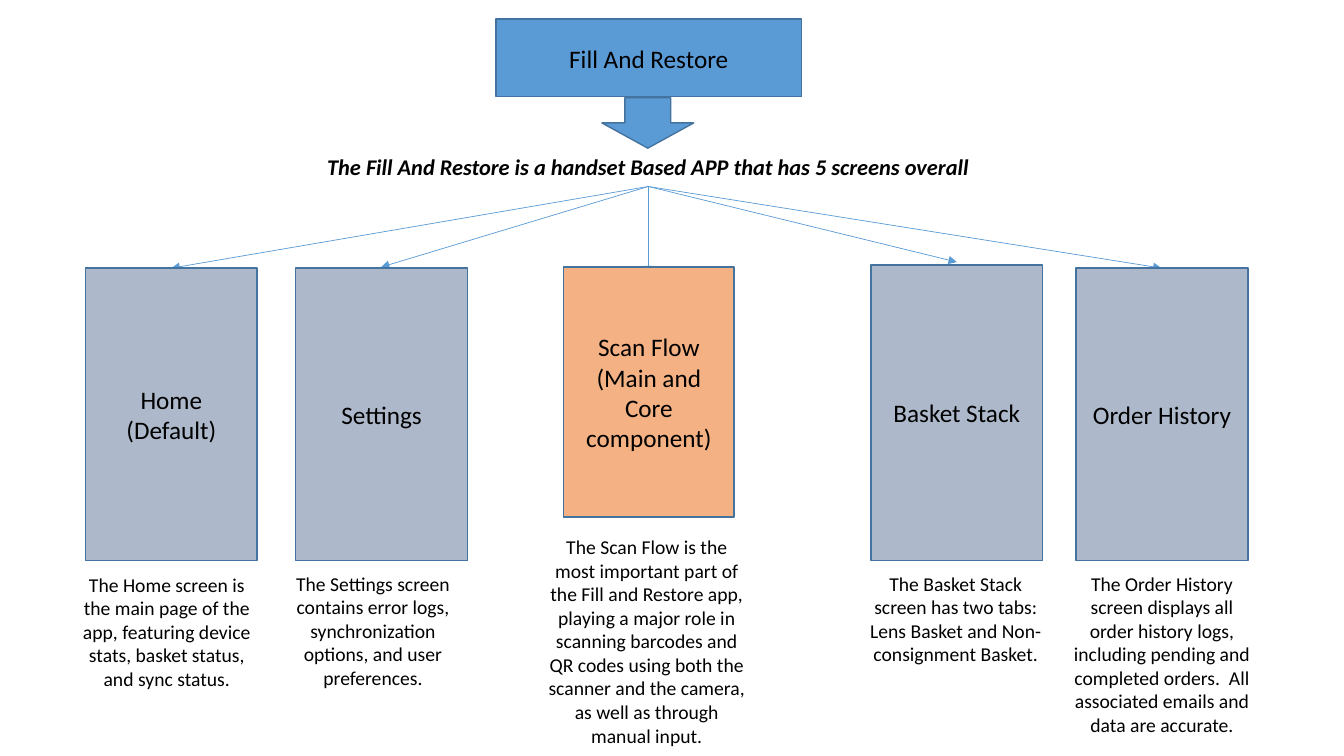
import dataclasses

import pptx
import pptx.dml.color
import pptx.enum.shapes
import pptx.enum.text
import pptx.oxml
import pptx.oxml.ns
import pptx.util

PX = 9144
SHAPES = pptx.enum.shapes.MSO_SHAPE
ANCHOR = pptx.enum.text.MSO_ANCHOR
FIT = pptx.enum.text.MSO_AUTO_SIZE


@dataclasses.dataclass(frozen=True)
class Theme:
    """Colours, type sizes and line widths of the slide."""
    font: str = "Calibri"
    text: str = "000000"
    blue: str = "5B9BD5"
    border: str = "43739E"
    grey: str = "ADB9CA"
    orange: str = "F4B183"
    label_size: int = 18
    tagline_size: int = 16
    caption_size: int = 14
    border_width: float = 1
    arrow_width: float = 0.5


@dataclasses.dataclass(frozen=True)
class Screen:
    """One app screen: its box, the arrow tip height and its caption."""
    label: str
    box: tuple
    tip: int
    caption: str
    caption_box: tuple
    fill: str


THEME = Theme()
TITLE_BOX = (492, 19, 303, 77)
ARROW_BOX = (597, 97, 91, 50)
TAGLINE_BOX = (271, 147, 744, 37)
FAN_ORIGIN = (643, 185)
SCREENS = [
    Screen("Home\n(Default)", (85, 266, 170, 290), 266,
           "The Home screen is the main page of the app, featuring device stats, "
           "basket status, and sync status.",
           (64, 563, 203, 128), THEME.grey),
    Screen("Settings", (293, 266, 171, 290), 265,
           "The Settings screen contains error logs, synchronization options, "
           "and user preferences.",
           (277, 562, 186, 128), THEME.grey),
    Screen("Scan Flow\n(Main and Core component)", (559, 265, 169, 248), 272,
           "The Scan Flow is the most important part of the Fill and Restore app, "
           "playing a major role in scanning barcodes and QR codes using both the "
           "scanner and the camera, as well as through manual input.",
           (531, 526, 221, 222), THEME.orange),
    Screen("Basket Stack", (864, 263, 170, 293), 260,
           "The Basket Stack screen has two tabs: Lens Basket and "
           "Non-consignment Basket.",
           (845, 562, 206, 104), THEME.grey),
    Screen("Order History", (1067, 266, 171, 290), 266,
           "The Order History screen displays all order history logs, including "
           "pending and completed orders.  All associated emails and data are accurate.",
           (1052, 562, 201, 177), THEME.grey),
]


def scaled(lengths):
    """Turn px lengths into EMU."""
    return [pptx.util.Emu(length * PX) for length in lengths]


def colour(value):
    """Return an RGB colour from its hex value."""
    return pptx.dml.color.RGBColor.from_string(value)


def apply_format(target, values):
    """Set each attribute of target from a dict."""
    for name, value in values.items():
        setattr(target, name, value)


def write_text(shape, text, size, anchor=ANCHOR.MIDDLE, fit=FIT.NONE, **emphasis):
    """Write centred paragraphs, one for each line of text."""
    shape.text_frame.text = text
    apply_format(shape.text_frame, {
        "word_wrap": True, "auto_size": fit, "vertical_anchor": anchor})
    for paragraph in shape.text_frame.paragraphs:
        apply_format(paragraph, {
            "alignment": pptx.enum.text.PP_ALIGN.CENTER, "line_spacing": 1.0,
            "space_before": pptx.util.Pt(0)})
        for run in paragraph.runs:
            apply_format(run.font, {
                "name": THEME.font, "size": pptx.util.Pt(size), **emphasis})
            run.font.color.rgb = colour(THEME.text)


def paint(shape, fill):
    """Give a shape its fill and the common border."""
    shape.fill.solid()
    shape.fill.fore_color.rgb = colour(fill)
    shape.line.color.rgb = colour(THEME.border)
    shape.line.width = pptx.util.Pt(THEME.border_width)
    shape.shadow.inherit = False


def add_block(slide, preset, box, fill):
    """Add a filled preset shape in the box."""
    shape = slide.shapes.add_shape(preset, *scaled(box))
    paint(shape, fill)
    return shape


def add_note(slide, box, text, size, **emphasis):
    """Add a text box that grows with its text."""
    note = slide.shapes.add_textbox(*scaled(box))
    write_text(note, text, size, ANCHOR.TOP, FIT.SHAPE_TO_FIT_TEXT, **emphasis)


def add_arrow(slide, start, end):
    """Add a thin connector with a triangle at its end."""
    connector = slide.shapes.add_connector(
        pptx.enum.shapes.MSO_CONNECTOR.STRAIGHT, *scaled(start + end))
    connector.line.color.rgb = colour(THEME.blue)
    connector.line.width = pptx.util.Pt(THEME.arrow_width)
    namespace = pptx.oxml.ns.nsdecls("a")
    connector.get_or_add_ln().append(
        pptx.oxml.parse_xml(f'<a:tailEnd {namespace} type="triangle"/>'))
    connector.element.spPr.append(
        pptx.oxml.parse_xml(f"<a:effectLst {namespace}/>"))


def add_header(slide, box):
    """Format the title as the root box and point it at the tagline."""
    title = slide.shapes.title
    apply_format(title, dict(zip(("left", "top", "width", "height"), scaled(box))))
    paint(title, THEME.blue)
    write_text(title, "Fill And Restore", THEME.label_size)
    add_block(slide, SHAPES.DOWN_ARROW, ARROW_BOX, THEME.blue)
    add_note(slide, TAGLINE_BOX,
             "The Fill And Restore is a handset Based APP that has 5 screens overall",
             THEME.tagline_size, bold=True, italic=True)


def add_screen(slide, screen):
    """Add the arrow, box and caption of one app screen."""
    left, _, width, _ = screen.box
    add_arrow(slide, FAN_ORIGIN, (left + width // 2, screen.tip))
    block = add_block(slide, SHAPES.RECTANGLE, screen.box, screen.fill)
    write_text(block, screen.label, THEME.label_size)
    add_note(slide, screen.caption_box, screen.caption, THEME.caption_size)


def main():
    """Build and save the presentation."""
    presentation = pptx.Presentation()
    presentation.slide_width, presentation.slide_height = scaled((1333, 750))
    slide = presentation.slides.add_slide(
        presentation.slide_layouts.get_by_name("Title Only"))
    add_header(slide, TITLE_BOX)
    for screen in SCREENS:
        add_screen(slide, screen)
    presentation.save("out.pptx")


if __name__ == "__main__":
    main()
